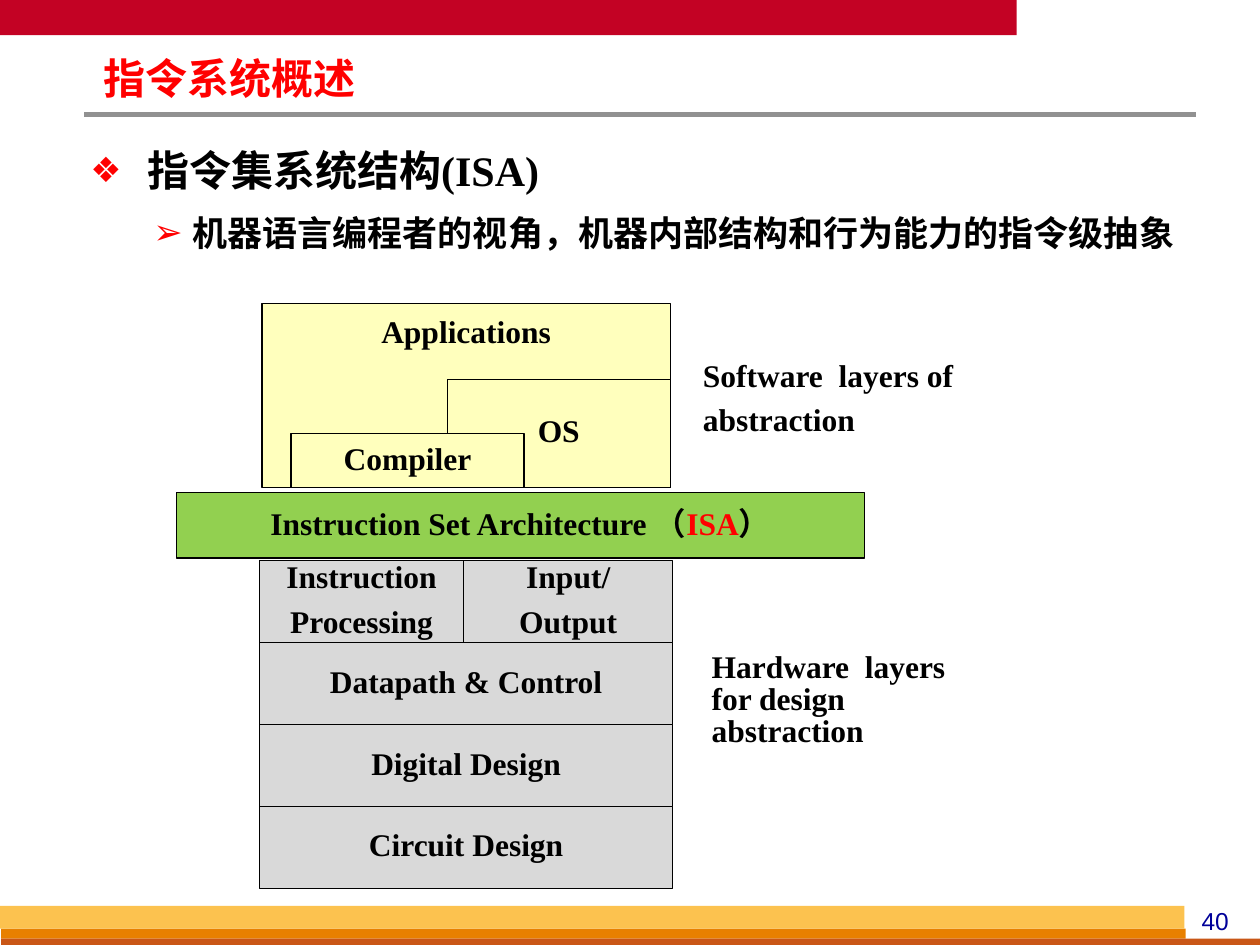
from lxml import etree
from pptx import Presentation
from pptx.dml.color import RGBColor
from pptx.enum.shapes import MSO_CONNECTOR, MSO_SHAPE
from pptx.enum.text import MSO_ANCHOR, PP_ALIGN
from pptx.oxml.ns import qn
from pptx.util import Inches, Pt

RECT, STRAIGHT = MSO_SHAPE.RECTANGLE, MSO_CONNECTOR.STRAIGHT
TOP, MIDDLE = MSO_ANCHOR.TOP, MSO_ANCHOR.MIDDLE
LEFT, CENTER = PP_ALIGN.LEFT, PP_ALIGN.CENTER

THEME = {
    "red": "FF0000", "black": "000000", "navy": "000099", "gray": "919191",
    "software": "FFFFBD", "isa": "92D050", "hardware": "D9D9D9",
    "latin": "Times New Roman", "cjk": "Noto Sans CJK SC", "number": "Arial",
    "title": 24, "heading": 24, "point": 20, "label": 18, "page": 14,
}
W, H = 10, 7.5

TITLE, PAGE = "指令系统概述", "40"
# text, size, bullet, left margin, hanging indent, bullet size in percent
POINTS = [
    ("指令集系统结构(ISA)", "heading", "❖", 0.45, 0.45, 83),
    ("机器语言编程者的视角，机器内部结构和行为能力的指令级抽象", "point", "➢", 0.81, 0.31, 100),
]
BARS = [
    ((0, 0, 8.07, 0.28), "C30224"),
    ((0.01, 7.37, 9.4, 0.08), "E88000"),
    ((0.01, 7.45, W - 0.01, H - 7.45), "C95616"),
    ((0, 7.19, 9.4, 0.18), "FCC24F"),
]
# Software boxes share one baseline: label, left, width, height, anchor
SOFTWARE_BOTTOM = 3.87
SOFTWARE = [
    ("Applications", 2.08, 3.24, 1.46, TOP),
    ("OS", 3.55, 1.77, 0.86, MIDDLE),
    ("Compiler", 2.31, 1.85, 0.43, MIDDLE),
]
ISA = [("Instruction Set Architecture （", "black"), ("ISA", "red"), ("）", "black")]
# Hardware rows: (label, share of the row's width)
STACK_LEFT, STACK_TOP, STACK_W, ROW_H = 2.06, 4.45, 3.28, 0.65
HARDWARE = [
    [("Instruction\nProcessing", 0.494), ("Input/\nOutput", 0.506)],
    [("Datapath & Control", 1)],
    [("Digital Design", 1)],
    [("Circuit Design", 1)],
]
NOTES = [
    ("Software  layers of\nabstraction", (5.48, 2.82, 2.99, 0.64)),
    ("Hardware  layers for design abstraction", (5.55, 5.13, 2.4, 0.53)),
]


def color(name):
    """Return the RGB value of a theme name or hex string."""
    return RGBColor.from_string(THEME.get(name, name))


def style_run(r, size, name="black", font="latin", bold=True):
    """Set size, colour, weight and both Latin and East Asian fonts."""
    r.font.size, r.font.bold = Pt(THEME[size]), bold
    r.font.color.rgb = color(name)
    r.font.name = THEME[font]
    etree.SubElement(r.font._element, qn("a:ea"), typeface=THEME["cjk"])


def write(tf, text, size, align=LEFT, spacing=0.85, before=7.2, **font):
    """Fill a text frame, one paragraph for each line of text."""
    tf.text = text
    for p in tf.paragraphs:
        p.alignment, p.line_spacing = align, spacing
        p.space_before = Pt(before)
        for r in p.runs:
            style_run(r, size, **font)


def add_text(s, at):
    """Add a wrapping text box and return its frame."""
    tf = s.shapes.add_textbox(*map(Inches, at)).text_frame
    tf.word_wrap = True
    return tf


def add_rect(s, at, fill, outlined=False):
    """Add a flat rectangle with an optional thin outline."""
    sp = s.shapes.add_shape(RECT, *map(Inches, at))
    sp.shadow.inherit = False
    sp.fill.solid()
    sp.fill.fore_color.rgb = color(fill)
    if outlined:
        sp.line.color.rgb = color("black")
        sp.line.width = Pt(0.75)
    else:
        sp.line.fill.background()
    return sp


def add_layer(s, at, fill, text, anchor=MIDDLE):
    """Add one labelled box of the abstraction diagram."""
    tf = add_rect(s, at, fill, outlined=True).text_frame
    tf.word_wrap, tf.vertical_anchor = False, anchor
    if anchor == TOP:
        tf.margin_top = Inches(0.11)
    write(tf, text, "label", CENTER)
    return tf


def add_bullet(p, char, margin, hang, percent):
    """Give a paragraph a red bullet with a hanging indent."""
    pPr = p._p.get_or_add_pPr()
    pPr.set("marL", str(Inches(margin)))
    pPr.set("indent", str(-Inches(hang)))
    clr = etree.SubElement(pPr, qn("a:buClr"))
    etree.SubElement(clr, qn("a:srgbClr"), val=THEME["red"])
    etree.SubElement(pPr, qn("a:buSzPct"), val=str(percent * 1000))
    etree.SubElement(pPr, qn("a:buFont"), typeface="Arial")
    etree.SubElement(pPr, qn("a:buChar"), char=char)


def add_frame(s):
    """Draw the bars, title rule, title and page number."""
    for at, fill in BARS:
        add_rect(s, at, fill)
    rule = s.shapes.add_connector(STRAIGHT, *map(Inches, (0.67, 0.91, 9.49, 0.91)))
    rule.line.color.rgb, rule.line.width = color("gray"), Pt(3)
    etree.SubElement(rule._element.spPr, qn("a:effectLst"))
    write(add_text(s, (9.33, 7.14, 0.63, 0.33)), PAGE, "page", CENTER, 1, 0,
          name="navy", font="number", bold=False)
    tf = add_text(s, (0.75, 0.44, 5.75, 0.41))
    tf.margin_left = tf.margin_right = Inches(0.07)
    tf.margin_top = tf.margin_bottom = Inches(0.03)
    write(tf, TITLE, "title", spacing=0.87, before=0, name="red", font="cjk")


def add_points(s):
    """Write the bulleted points."""
    tf = add_text(s, (0.62, 1.02, 8.86, 1.02))
    for i, (text, size, *bullet) in enumerate(POINTS):
        p = tf.add_paragraph() if i else tf.paragraphs[0]
        p.text, p.level, p.line_spacing = text, i, 1.2
        p.space_before = p.space_after = Pt(THEME[size] * 0.1)
        style_run(p.runs[0], size)
        add_bullet(p, *bullet)


def add_diagram(s):
    """Draw the software, instruction set and hardware layers."""
    for text, left, width, height, anchor in SOFTWARE:
        at = (left, SOFTWARE_BOTTOM - height, width, height)
        add_layer(s, at, "software", text, anchor)
    p = add_layer(s, (1.4, 3.91, 5.46, 0.52), "isa", "").paragraphs[0]
    for text, name in ISA:
        r = p.add_run()
        r.text = text
        style_run(r, "label", name)
    for row, cells in enumerate(HARDWARE):
        left = STACK_LEFT
        for text, share in cells:
            at = (left, STACK_TOP + row * ROW_H, share * STACK_W, ROW_H)
            add_layer(s, at, "hardware", text)
            left += share * STACK_W
    for text, at in NOTES:
        write(add_text(s, at), text, "label")


prs = Presentation()
prs.slide_width, prs.slide_height = Inches(W), Inches(H)
slide = prs.slides.add_slide(prs.slide_layouts[6])
add_frame(slide)
add_diagram(slide)
add_points(slide)
prs.save("out.pptx")
